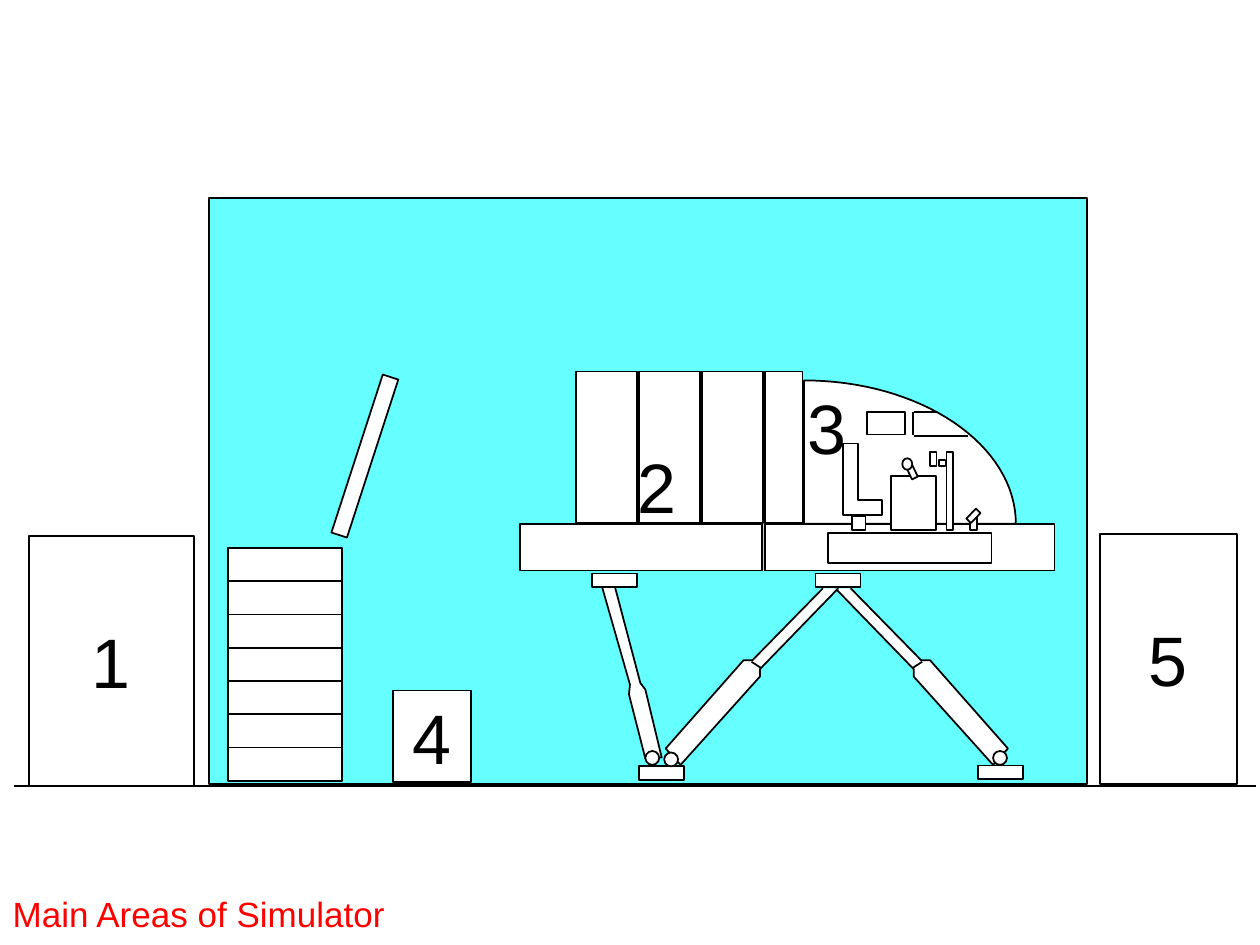
from dataclasses import dataclass
from math import cos, pi, sin
from typing import Any

from pptx import Presentation
from pptx.dml.color import RGBColor
from pptx.enum.shapes import MSO_CONNECTOR as Connector, MSO_SHAPE as Preset
from pptx.enum.text import MSO_ANCHOR as Anchor, MSO_AUTO_SIZE as AutoSize, PP_ALIGN as Align
from pptx.oxml.ns import qn
from pptx.util import Cm, Pt

BLACK = RGBColor(0x00, 0x00, 0x00)
WHITE = RGBColor(0xFF, 0xFF, 0xFF)
CYAN = RGBColor(0x66, 0xFF, 0xFF)
RED = RGBColor(0xFF, 0x00, 0x00)

NUMBER_FONT = {"name": "Arial", "size": Pt(40), "bold": False}
TITLE_FONT = {"name": "Arial", "size": Pt(20), "bold": False}


def set_all(target, values):
    for attribute, value in values.items():
        setattr(target, attribute, value)


def set_text(frame, text, font, color, align):
    frame.text = text
    paragraph = frame.paragraphs[0]
    paragraph.alignment = align
    set_all(paragraph.font, font)
    paragraph.font.color.rgb = color


def outline(shape, fill=WHITE):
    shape.shadow.inherit = False
    shape.fill.solid()
    shape.fill.fore_color.rgb = fill
    shape.line.color.rgb = BLACK
    shape.line.width = Pt(1)
    return shape


@dataclass
class Region:
    """Places pieces, in centimetres, relative to its top left corner."""
    slide: Any
    left: float
    top: float

    def at(self, x, y):
        return Cm(self.left + x), Cm(self.top + y)

    def block(self, x, y, width, height, preset=Preset.RECTANGLE, turn=0, fill=WHITE):
        shape = self.slide.shapes.add_shape(preset, *self.at(x, y), Cm(width), Cm(height))
        shape.rotation = turn
        return outline(shape, fill)

    def line(self, start, end):
        line = self.slide.shapes.add_connector(
            Connector.STRAIGHT, *self.at(*start), *self.at(*end))
        line.line.color.rgb = BLACK
        line.line.width = Pt(1)
        properties = line._element.spPr
        properties.append(properties.makeelement(qn("a:effectLst"), {}))

    def polygon(self, points, close=True):
        start, *rest = [self.at(*point) for point in points]
        builder = self.slide.shapes.build_freeform(*start)
        builder.add_line_segments(rest, close=close)
        outline(builder.convert_to_shape())


def add_room(region):
    region.block(3.94, 0, 17.7, 11.81, fill=CYAN)
    region.line((25.04, 11.86), (0, 11.86))


def add_cabin(region):
    panel_width, pitch, panel_height, floor = 1.24, 1.27, 3.05, 3.07
    # Platform and wall panels
    region.block(0, floor, 4.88, 0.94)
    for index in range(3):
        region.block(1.12 + index * pitch, 0, panel_width, panel_height)
    region.block(4.93, floor, 5.84, 0.94)
    region.block(4.93, 0, 0.76, panel_height)

    # Nose: a quarter ellipse standing on the platform
    nose_left, nose_width, nose_height, steps = 5.72, 4.27, 2.89, 32
    angles = [index * pi / 2 / steps for index in range(steps + 1)]
    arc = [(nose_left + nose_width * sin(angle), floor - nose_height * cos(angle))
           for angle in angles]
    region.polygon([*arc, (nose_left, floor)])

    # Side window and open front window
    region.block(6.99, 0.81, 0.76, 0.46)
    region.line((7.92, 0.81), (7.92, 1.27))
    region.line((7.94, 1.3), (9.02, 1.3))
    region.line((7.94, 0.81), (8.38, 0.81))


def add_legs(region):
    # The two front legs mirror each other
    front_leg = [(5.21, 0.3), (6.63, 1.75), (6.81, 1.75), (8.38, 3.53),
                 (8.08, 3.86), (6.48, 2.08), (6.48, 1.93), (4.9, 0.3)]
    joint = [(6.65, 1.78), (6.45, 1.91)]
    mirror_sum = 9.86
    for mirrored in (False, True):
        leg, seam = ([(mirror_sum - x if mirrored else x, y) for x, y in points]
                     for points in (front_leg, joint))
        region.polygon(leg, close=False)
        region.line(*seam)
    # Rear leg
    region.polygon([(0.2, 0.28), (0.76, 2.24), (0.74, 2.44), (1.07, 3.73),
                    (1.4, 3.71), (1.07, 2.34), (0.97, 2.21), (0.46, 0.28)], close=False)

    # Mounting pads and ball joints
    for x, y in ((0, 0), (4.5, 0), (0.94, 3.89), (7.77, 3.87)):
        region.block(x, y, 0.91, 0.28)
    for x, y in ((8.08, 3.58), (1.45, 3.61), (1.07, 3.58)):
        region.block(x, y, 0.28, 0.28, Preset.OVAL)


def add_cockpit(region):
    region.block(0, 1.8, 3.3, 0.61)                     # floor box
    region.block(1.27, 0.66, 0.91, 1.09)                # console
    region.block(2.39, 0.18, 0.13, 1.57)                # control column
    region.block(2.24, 0.33, 0.13, 0.13)                # wheel link
    region.block(2.06, 0.18, 0.13, 0.28)                # wheel
    region.polygon([(0.3, 0), (0.3, 1.45), (1.09, 1.45),
                    (1.09, 1.14), (0.61, 1.14), (0.61, 0)])  # seat
    region.block(2.87, 1.47, 0.13, 0.28)                # pedal post
    region.block(2.87, 1.32, 0.13, 0.28, turn=44)       # pedal
    region.block(1.63, 0.43, 0.13, 0.28, turn=334)      # lever
    region.block(1.5, 0.3, 0.2, 0.23, Preset.OVAL)      # lever knob
    region.block(0.48, 1.47, 0.28, 0.28)                # seat stem


def add_stairs(region):
    step_height = 0.67
    for index in range(7):
        region.block(0, 3.53 + index * step_height, 2.29, step_height)
    region.block(2.59, 0, 0.33, 3.35, turn=18)          # raised bridge


def add_numbered_area(region, number, width, height):
    frame = region.block(0, 0, width, height).text_frame
    set_all(frame, {"word_wrap": False, "vertical_anchor": Anchor.MIDDLE})
    set_text(frame, number, NUMBER_FONT, BLACK, Align.CENTER)


def add_number(region, number):
    label = region.slide.shapes.add_textbox(*region.at(0, 0), Cm(1.3), Cm(1.96))
    set_all(label.text_frame,
            {"word_wrap": False, "auto_size": AutoSize.SHAPE_TO_FIT_TEXT})
    set_text(label.text_frame, number, NUMBER_FONT, BLACK, Align.LEFT)


def add_title(slide):
    title = slide.shapes.title
    set_all(title, {"left": Cm(0), "top": Cm(17.78), "width": Cm(21.89), "height": Cm(1.27)})
    title.text_frame.vertical_anchor = Anchor.MIDDLE
    set_text(title.text_frame, "Main Areas of Simulator", TITLE_FONT, RED, Align.LEFT)


def main():
    deck = Presentation()
    deck.slide_width, deck.slide_height = Cm(25.4), Cm(19.05)
    slide = deck.slides.add_slide(deck.slide_layouts[5])

    add_room(Region(slide, 0.28, 3.99))
    add_cabin(Region(slide, 10.49, 7.49))
    add_legs(Region(slide, 11.94, 11.56))
    add_cockpit(Region(slide, 16.69, 8.94))
    add_numbered_area(Region(slide, 22.17, 10.77), "5", 2.77, 5.03)
    add_number(Region(slide, 16.03, 7.62), "3")
    add_number(Region(slide, 12.6, 8.81), "2")
    add_numbered_area(Region(slide, 0.58, 10.8), "1", 3.33, 5.05)
    add_stairs(Region(slide, 4.6, 7.52))
    add_numbered_area(Region(slide, 7.92, 13.92), "4", 1.57, 1.85)
    add_title(slide)
    deck.save("out.pptx")


if __name__ == "__main__":
    main()
